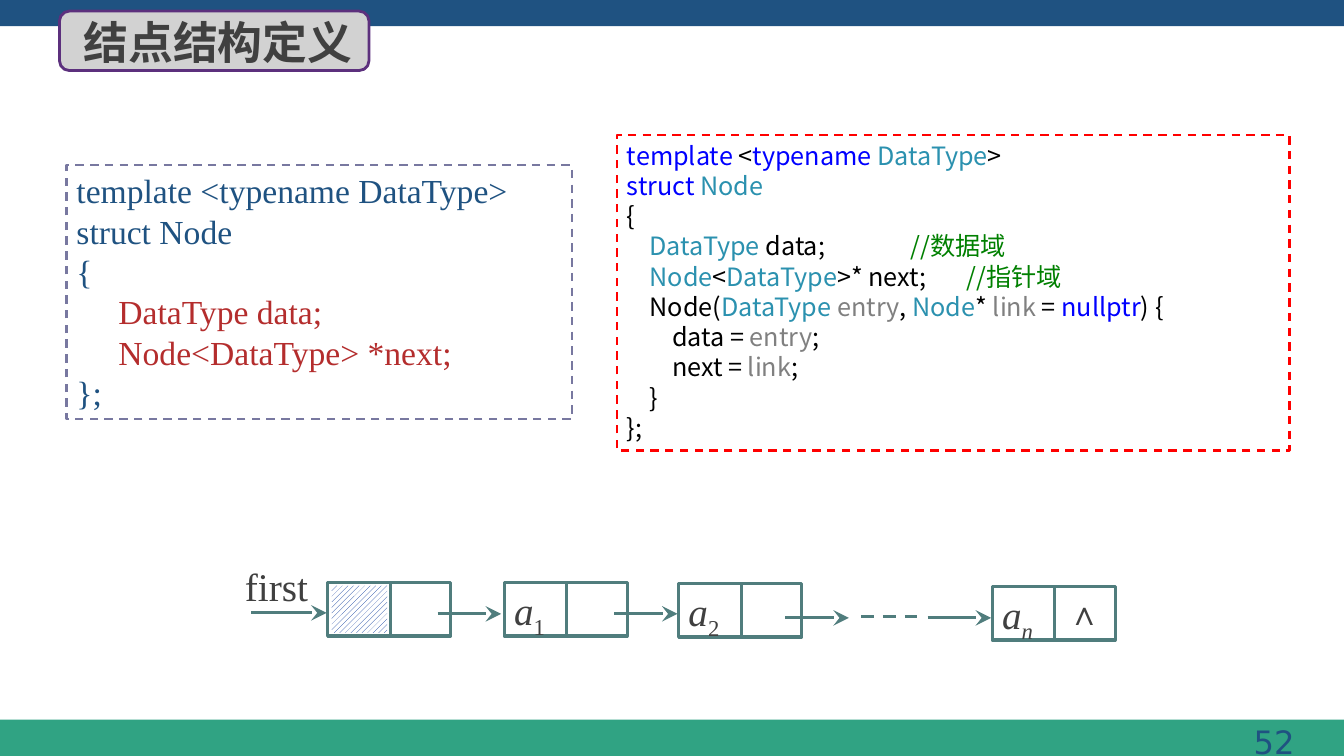
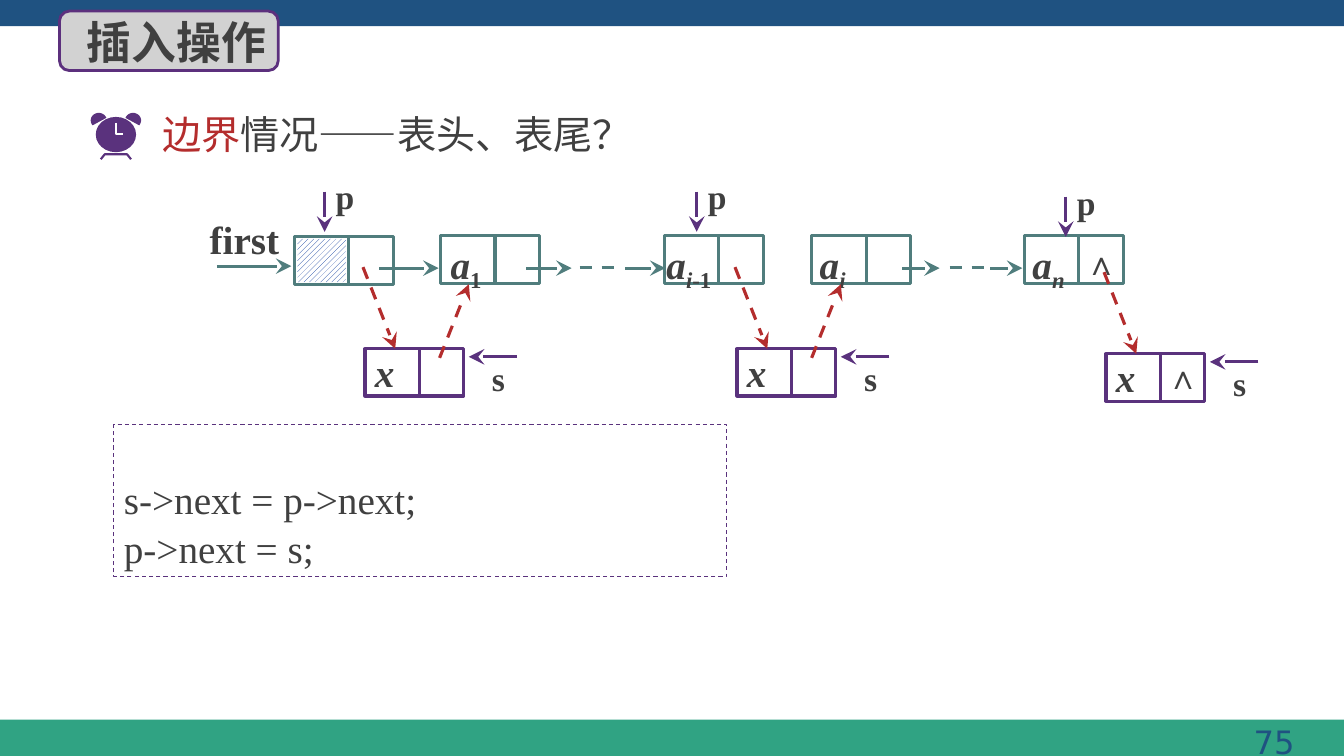
from dataclasses import dataclass
from math import cos, radians, sin
from typing import Optional

from lxml import etree
from pptx import Presentation
from pptx.dml.color import RGBColor
from pptx.enum.dml import MSO_LINE, MSO_PATTERN
from pptx.enum.shapes import MSO_CONNECTOR, MSO_SHAPE
from pptx.enum.text import MSO_ANCHOR, PP_ALIGN
from pptx.oxml.ns import qn
from pptx.util import Pt

PX = 9144  # 100 px to the inch

BLUE, GREEN, GREY, WHITE = "1F5281", "30A383", "D2D2D2", "FFFFFF"
INK, TEAL, PURPLE, RED = "404040", "507D7D", "5A327D", "B42D2D"
SERIF, CJK, NUMBER = "Times New Roman", "Noto Sans CJK SC", "DejaVu Sans"
SYNTAX = {
    "template": "0000FF", "typename": "0000FF", "struct": "0000FF", "nullptr": "0000FF",
    "DataType": "2B91AF", "Node": "2B91AF", "entry": "808080", "link": "808080",
}


@dataclass
class Run:
    text: str
    color: Optional[str] = None
    sub: bool = False
    italic: Optional[bool] = None


def rgb(color):
    return RGBColor.from_string(color)


def box(px):
    return [v * PX for v in px]


def paint(sp, fill=None, line=None, width=2.25, dash=False):
    sp.shadow.inherit = False
    if fill:
        sp.fill.solid()
        sp.fill.fore_color.rgb = rgb(fill)
    else:
        sp.fill.background()
    if line:
        sp.line.color.rgb = rgb(line)
        sp.line.width = Pt(width)
        if dash:
            sp.line.dash_style = MSO_LINE.DASH
    else:
        sp.line.fill.background()


def shape(slide, px, kind=MSO_SHAPE.RECTANGLE, **look):
    sp = slide.shapes.add_shape(kind, *box(px))
    paint(sp, **look)
    return sp


def set_tab(p, px):
    tabs = etree.SubElement(p._p.get_or_add_pPr(), qn("a:tabLst"))
    etree.SubElement(tabs, qn("a:tab"), pos=str(px * PX), algn="l")


def write(sp, paras, size, font=SERIF, color=INK, bold=False, italic=False,
          insets=(10, 5, 10, 5), spacing=None, align=PP_ALIGN.LEFT,
          anchor=MSO_ANCHOR.TOP, tabs=()):
    """Fill sp with paragraphs, each a list of runs; tabs maps a paragraph index to a stop."""
    tf = sp.text_frame
    tf.word_wrap = True
    tf.vertical_anchor = anchor
    tf.margin_left, tf.margin_top, tf.margin_right, tf.margin_bottom = box(insets)
    for i, runs in enumerate(paras):
        p = tf.add_paragraph() if i else tf.paragraphs[0]
        p.alignment = align
        p.line_spacing = spacing or Pt(1.2 * size)
        if i in tabs:
            set_tab(p, tabs[i])
        p.font.size, p.font.name = Pt(size), font
        p.font.bold, p.font.italic = bold, italic
        p.font.color.rgb = rgb(color)
        if font == CJK:
            etree.SubElement(p._p.pPr.find(qn("a:defRPr")), qn("a:ea"), typeface=font)
        for run in runs:
            r = p.add_run()
            r.text = run.text
            if run.color:
                r.font.color.rgb = rgb(run.color)
            if run.italic is not None:
                r.font.italic = run.italic
            if run.sub:
                r._r.get_or_add_rPr().set("baseline", "-25000")


def label(slide, px, text, size, **style):
    tb = slide.shapes.add_textbox(*box(px))
    write(tb, [[Run(text)]], size, **style)


def line(slide, start, end, color=TEAL, dash=False, arrow=False):
    cn = slide.shapes.add_connector(MSO_CONNECTOR.STRAIGHT, *box(start + end))
    cn.line.color.rgb = rgb(color)
    cn.line.width = Pt(2.25)
    if dash:
        cn.line.dash_style = MSO_LINE.DASH
    if arrow:
        etree.SubElement(cn.line._get_or_add_ln(), qn("a:tailEnd"),
                         type="stealth", w="lg", len="lg")
    etree.SubElement(cn._element.spPr, qn("a:effectLst"))


def arrow(slide, start, end, color=TEAL, dash=False):
    line(slide, start, end, color, dash, arrow=True)


def outline(slide, points, closed=False, **look):
    points = [(x * PX, y * PX) for x, y in points]
    fb = slide.shapes.build_freeform(*points[0])
    fb.add_line_segments(points[1:], close=closed)
    paint(fb.convert_to_shape(), **look)


def node(slide, px, split, runs=(), color=TEAL, bold=False, inset=10):
    """Draw a list node: a data cell of width split beside a link cell."""
    x, y, _, h = px
    sp = shape(slide, px, line=color)
    if runs:
        top = 4 if len(runs) > 1 else 0
        write(sp, [runs], 28, bold=bold, italic=True, insets=(inset, top, 0, 0), spacing=1.0)
    line(slide, (x + split, y), (x + split, y + h), color)


def hatch(slide, px):
    sp = shape(slide, px)
    sp.fill.patterned()
    sp.fill.pattern = MSO_PATTERN.WIDE_UPWARD_DIAGONAL
    sp.fill.fore_color.rgb = rgb("003399")
    sp.fill.back_color.rgb = rgb(WHITE)


def element(*subs):
    """Runs for the letter a with its subscript; digits stay upright."""
    return [Run("a")] + [Run(s, sub=True, italic=s.isalpha()) for s in subs]


def clock(slide):
    shape(slide, (95, 116, 40, 35), MSO_SHAPE.OVAL, fill=PURPLE)
    bell = [(98 + 8 * cos(radians(a)), 119.5 + 7.5 * sin(radians(a)))
            for a in range(140, 341, 10)]
    for points in (bell, [(230 - x, y) for x, y in bell]):
        outline(slide, points, closed=True, fill=PURPLE)
    outline(slide, [(100, 158), (104, 153), (126, 153), (130, 158)], line=PURPLE, width=1.5)
    outline(slide, [(115, 122), (115, 133), (122, 133)], line=WHITE, width=2)


def new_slide(prs, title, title_width, title_inset, number):
    slide = prs.slides.add_slide(prs.slide_layouts[6])
    shape(slide, (0, 714, 1333, 36), fill=GREEN)
    shape(slide, (0, 0, 1333, 26), fill=BLUE)
    label(slide, (1003, 711, 294, 52), number, 23, font=NUMBER, color=BLUE,
          insets=(13, 6, 13, 6), align=PP_ALIGN.RIGHT)
    tag = shape(slide, (59, 11, title_width, 59), MSO_SHAPE.ROUNDED_RECTANGLE,
                fill=GREY, line="5C307D", width=2)
    write(tag, [[Run(title)]], 32, font=CJK, bold=True, insets=(title_inset, 1, 0, 0))
    return slide


def code_runs(text):
    """Colour the tokens of a code line, which are separated by |."""
    return [Run(t, "008000" if t.startswith("//") else SYNTAX.get(t.strip()))
            for t in text.split("|")]


def structure_slide(prs):
    slide = new_slide(prs, "结点结构定义", 307, 21, "52")

    plain = shape(slide, (66, 164, 501, 252), line="7878A0", width=1.5, dash=True)
    write(plain, [
        [Run("template <typename DataType>")],
        [Run("struct Node")],
        [Run("{")],
        [Run("     DataType data;", RED)],
        [Run("     Node<DataType> *next;", RED)],
        [Run("};")],
    ], 24, color=BLUE)

    coloured = shape(slide, (612, 134, 667, 313), line="FF0000", width=1.5, dash=True)
    write(coloured, [code_runs(text) for text in (
        "template| <|typename |DataType|>",
        "struct |Node",
        "{",
        "    |DataType| data;\t|//数据域",
        "    |Node|<|DataType|>* next;\t|//指针域",
        "    Node(|DataType |entry|, |Node|* |link| = |nullptr|) {",
        "        data = |entry|;",
        "        next = |link|;",
        "    }",
        "};",
    )], 18, font=CJK, color="000000", tabs={3: 281, 4: 337})

    label(slide, (243, 558, 83, 51), "first", 28, insets=(0, 0, 0, 4))
    for x, y, runs in ((325, 578, ()), (500, 578, element("1")),
                       (673, 579, element("2")), (984, 582, element("n"))):
        node(slide, (x, y, 122, 53), 62, runs)
    hatch(slide, (329, 581, 55, 47))
    label(slide, (1049, 582, 57, 49), "∧", 24)
    for x1, x2, y in ((249, 324, 608), (434, 497, 609), (609, 672, 609),
                      (779, 842, 613), (920, 983, 613)):
        arrow(slide, (x1, y), (x2, y))
    line(slide, (854, 612), (916, 612), dash=True)


def insertion(slide, dx, dy, at_end):
    """Draw node x being inserted after p, moved by dx and dy."""
    def at(x, y):
        return x + dx, y + dy

    arrow(slide, at(322, 190), at(322, 230), PURPLE)
    label(slide, at(333, 175) + (27, 40), "p", 24, bold=True, insets=(0, 0, 0, 0))
    node(slide, at(362, 346) + (98, 47), 54, [Run("x")], PURPLE, bold=True)
    arrow(slide, at(513, 354), at(465, 354), PURPLE)
    label(slide, at(488, 355) + (27, 40), "s", 24, bold=True, insets=(0, 0, 0, 0))
    arrow(slide, at(360, 265), at(392, 346), RED, dash=True)
    if at_end:
        label(slide, at(412, 343) + (49, 50), "∧", 24, bold=True)
    else:
        arrow(slide, at(436, 355), at(465, 282), RED, dash=True)


def insertion_slide(prs):
    slide = new_slide(prs, "插入操作", 217, 24, "75")

    clock(slide)
    heading = slide.shapes.add_textbox(*box((151, 105, 861, 57)))
    write(heading, [[Run("边界", RED), Run("情况——表头、表尾？")]], 28, font=CJK)

    label(slide, (208, 214, 83, 51), "first", 28, bold=True, insets=(0, 0, 0, 4))
    for x, y, runs, inset in ((292, 235, (), 0), (437, 234, element("1"), 10),
                              (659, 234, element("i", "-1"), 2),
                              (805, 234, element("i"), 8), (1016, 234, element("n"), 8)):
        node(slide, (x, y, 98, 47), 54, runs, bold=True, inset=inset)
    hatch(slide, (295, 237, 48, 43))
    label(slide, (1066, 235, 49, 50), "∧", 24, bold=True)
    for x1, x2, y in ((215, 289, 264), (376, 435, 266), (522, 567, 266),
                      (620, 660, 266), (895, 932, 266), (982, 1014, 266)):
        arrow(slide, (x1, y), (x2, y))
    for x in (575, 942):
        line(slide, (x, 265), (x + 35, 265), dash=True)

    for dx, dy, at_end in ((0, 0, False), (369, 0, False), (735, 5, True)):
        insertion(slide, dx, dy, at_end)

    steps = shape(slide, (113, 421, 608, 151), line=PURPLE, width=0.75, dash=True)
    write(steps, [[Run("s->next = p->next;")], [Run("p->next = s;")]], 28,
          spacing=Pt(35), anchor=MSO_ANCHOR.BOTTOM)


def main():
    prs = Presentation()
    prs.slide_width, prs.slide_height = 1333 * PX, 750 * PX
    structure_slide(prs)
    insertion_slide(prs)
    prs.save("out.pptx")


if __name__ == "__main__":
    main()
